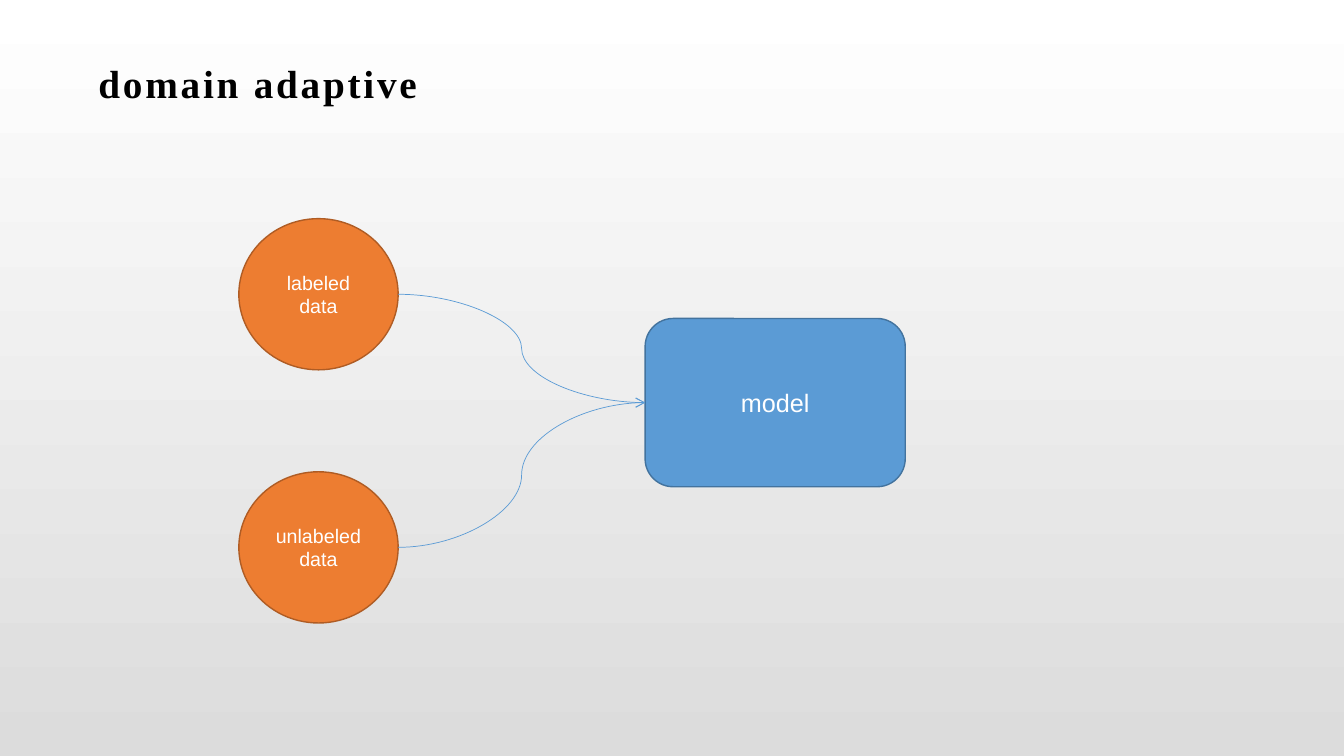
import pptx
import pptx.util
import pptx.dml.color
import pptx.enum.shapes
import pptx.enum.text
import pptx.oxml
import pptx.oxml.ns

Pt = pptx.util.Pt
Kind = pptx.enum.shapes.MSO_SHAPE
Curve = pptx.enum.shapes.MSO_CONNECTOR.CURVE
Align = pptx.enum.text.PP_ALIGN
Middle = pptx.enum.text.MSO_ANCHOR.MIDDLE

HUES = {
    "top": "FFFFFF", "base": "DCDCDC", "title": "000000", "text": "FFFFFF",
    "data": "ED7D31", "data edge": "AF5C24",
    "model": "5B9BD5", "model edge": "43739E",
}
TITLE = "domain adaptive"
DATA = [(["labeled data"], 156.2), (["unlabeled", "data"], 337)]
MODEL = ["model"]

WIDE, HIGH = 960, 540
HEAD = (52.6, 33.8, 854.6, 51.1)
LEFT, DISC = 170.6, (113.8, 108)
BLOCK = (460.8, 227.5, 185.8, 120.2)

FONTS = {
    "title": {"name": "Times New Roman", "size": Pt(28), "bold": True},
    "data": {"name": "Arial", "size": Pt(14)},
    "model": {"name": "Arial", "size": Pt(18)},
}
HEAD_FRAME = {
    "word_wrap": True, "vertical_anchor": Middle,
    "margin_left": Pt(17.7), "margin_right": Pt(5.8),
    "margin_top": Pt(2.9), "margin_bottom": Pt(2.9),
}
NODE_FRAME = {"word_wrap": True, "vertical_anchor": Middle}


def hue(name):
    return pptx.dml.color.RGBColor.from_string(HUES[name])


def assign(target, values):
    for key, value in values.items():
        setattr(target, key, value)


def write(shape, lines, style, color, align, frame):
    body = shape.text_frame
    assign(body, frame)
    for index, line in enumerate(lines):
        para = body.add_paragraph() if index else body.paragraphs[0]
        para.alignment = align
        run = para.add_run()
        run.text = line
        assign(run.font, FONTS[style])
        run.font.color.rgb = hue(color)


def add_node(slide, kind, box, lines, style):
    node = slide.shapes.add_shape(kind, *map(Pt, box))
    node.shadow.inherit = False
    node.fill.solid()
    node.fill.fore_color.rgb = hue(style)
    node.line.color.rgb = hue(style + " edge")
    node.line.width = Pt(1)
    write(node, lines, style, "text", Align.CENTER, NODE_FRAME)


def add_arrow(slide, start, end):
    arrow = slide.shapes.add_connector(Curve, *map(Pt, start + end))
    arrow.line.color.rgb = hue("model")
    arrow.line.width = Pt(0.5)
    tail = pptx.oxml.parse_xml(
        f'<a:tailEnd {pptx.oxml.ns.nsdecls("a")} type="arrow"/>')
    arrow.line._get_or_add_ln().append(tail)
    plain = pptx.oxml.parse_xml(
        f'<a:effectLst {pptx.oxml.ns.nsdecls("a")}/>')
    arrow._element.spPr.append(plain)


def main():
    deck = pptx.Presentation()
    assign(deck, {"slide_width": Pt(WIDE), "slide_height": Pt(HIGH)})
    slide = deck.slides.add_slide(deck.slide_layouts[6])

    back = slide.background.fill
    back.gradient()
    back.gradient_angle = 270
    for stop, name in zip(back.gradient_stops, ("top", "base")):
        stop.color.rgb = hue(name)

    head = slide.shapes.add_textbox(*map(Pt, HEAD))
    write(head, [TITLE], "title", "title", Align.LEFT, HEAD_FRAME)
    run = head.text_frame.paragraphs[0].runs[0]
    run.font._element.set("spc", "200")

    for lines, top in DATA:
        add_node(slide, Kind.OVAL, (LEFT, top, *DISC), lines, "data")
    add_node(slide, Kind.ROUNDED_RECTANGLE, BLOCK, MODEL, "model")

    left, top, _, height = BLOCK
    end = (left, top + height / 2)
    for _, top in DATA:
        add_arrow(slide, (LEFT + DISC[0], top + DISC[1] / 2), end)

    deck.save("out.pptx")


if __name__ == "__main__":
    main()
